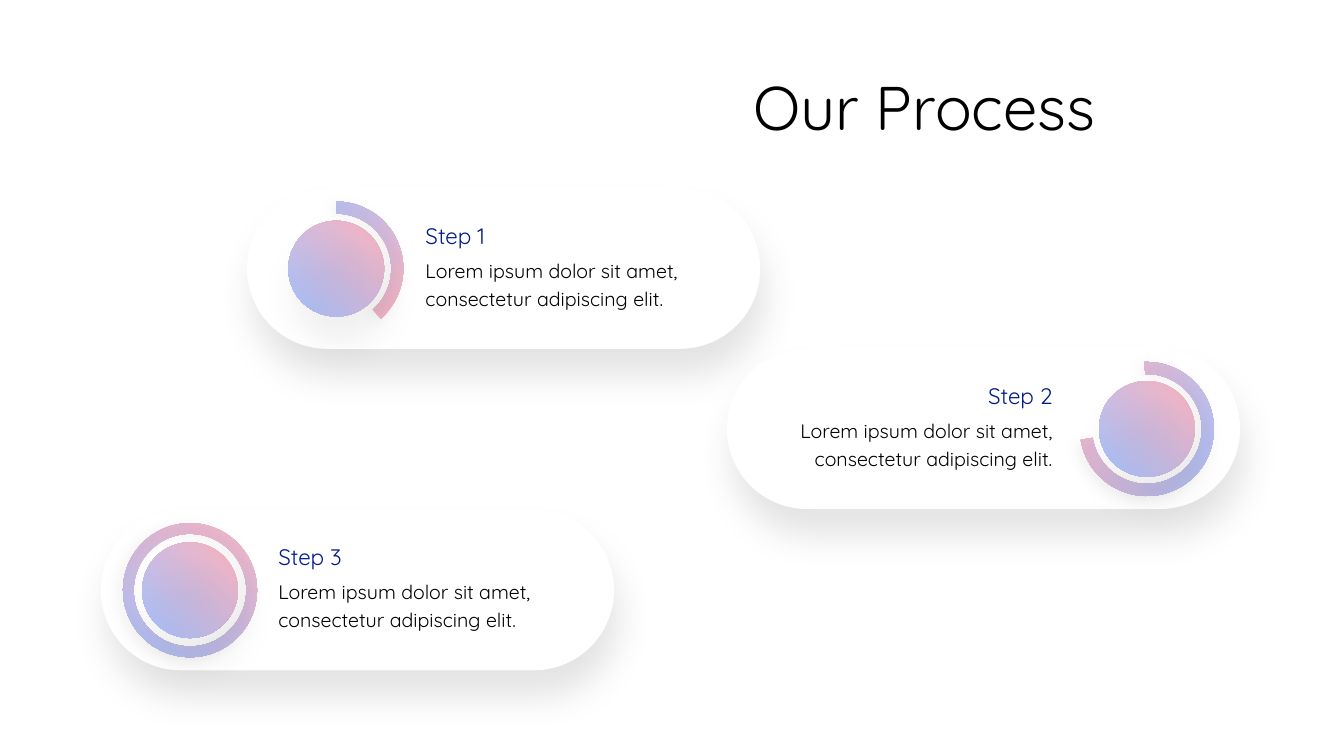
from pptx import Presentation
from pptx.dml.color import RGBColor
from pptx.enum.shapes import MSO_SHAPE
from pptx.enum.text import MSO_ANCHOR, PP_ALIGN
from pptx.oxml import parse_xml
from pptx.oxml.ns import nsdecls, qn
from pptx.util import Inches, Pt

WHITE = RGBColor(0xFF, 0xFF, 0xFF)
BLACK = RGBColor(0x00, 0x00, 0x00)
NAVY = RGBColor(0x03, 0x1B, 0x89)
PINK = RGBColor(0xFB, 0x7A, 0x8E)
BLUE = RGBColor(0x61, 0x96, 0xFE)
FONT = "Quicksand"

# Opacity in percent, blur and distance in points, direction in degrees
DEEP_SHADOW = (11, 26, 19, 80)
RING_SHADOW = (9, 10, 4, 157)

BODY = "Lorem ipsum dolor sit amet, consectetur adipiscing elit."
RING_SIZE = 1.33
DISC_INSET = 0.19

# Heading, card left and top, ring offset, text offset, alignment,
# ring rotation, ring adjustments
STEPS = [
    ("Step 1", 2.45, 1.87, 0.22, 1.77, PP_ALIGN.LEFT, 90, (108, 190.97, 0.09)),
    ("Step 2", 7.21, 3.46, 3.5, 0.54, PP_ALIGN.RIGHT, 252.7, (9.29, 166.8, 0.09)),
    ("Step 3", 1, 5.06, 0.22, 1.76, PP_ALIGN.LEFT, 345.6, (168.74, 168.4, 0.08)),
]


def add_shadow(shape, opacity, blur, distance, direction):
    shape.shadow.inherit = False
    effects = shape._element.spPr.find(qn("a:effectLst"))
    effects.append(parse_xml(
        f'<a:outerShdw {nsdecls("a")} blurRad="{Pt(blur)}" dist="{Pt(distance)}" '
        f'dir="{direction * 60000}" algn="t" rotWithShape="0">'
        f'<a:srgbClr val="{BLACK}"><a:alpha val="{opacity * 1000}"/></a:srgbClr>'
        f'</a:outerShdw>'))


def add_shape(slide, kind, left, top, width, height, shadow):
    shape = slide.shapes.add_shape(
        kind, Inches(left), Inches(top), Inches(width), Inches(height))
    shape.line.fill.background()
    add_shadow(shape, *shadow)
    return shape


def fill_gradient(shape):
    """Fill from translucent pink at top right to blue at bottom left."""
    shape.fill.gradient()
    shape.fill.gradient_angle = 225
    for stop, color in zip(shape.fill.gradient_stops, (PINK, BLUE)):
        stop.color.rgb = color
    for color in shape._element.spPr.find(qn("a:gradFill")).iter(qn("a:srgbClr")):
        color.append(parse_xml(f'<a:alpha {nsdecls("a")} val="56000"/>'))


def format_text(shape, text, size, color, spacing, alignment, anchor):
    frame = shape.text_frame
    frame.word_wrap = True
    frame.margin_left = frame.margin_right = 0
    frame.margin_top = frame.margin_bottom = Inches(0.05)
    frame.vertical_anchor = anchor
    paragraph = frame.paragraphs[0]
    paragraph.text = text
    paragraph.alignment = alignment
    paragraph.line_spacing = spacing
    paragraph.space_before = Pt(0)
    paragraph.font.name = FONT
    paragraph.font.size = Pt(size)
    paragraph.font.color.rgb = color


def add_text(slide, text, left, top, height, size, color, alignment):
    box = slide.shapes.add_textbox(
        Inches(left), Inches(top), Inches(2.69), Inches(height))
    format_text(box, text, size, color, 1.2, alignment, MSO_ANCHOR.TOP)


def add_title(slide, text):
    title = slide.shapes.title
    title.left, title.top = Inches(7.47), Inches(0.77)
    title.width, title.height = Inches(5.19), Inches(0.69)
    format_text(title, text, 44, BLACK, 0.8, PP_ALIGN.LEFT, MSO_ANCHOR.MIDDLE)


def add_step(slide, heading, left, top, ring_offset, text_offset, alignment,
             rotation, adjustments):
    card = add_shape(slide, MSO_SHAPE.ROUNDED_RECTANGLE, left, top, 5.09, 1.59,
                     DEEP_SHADOW)
    card.adjustments[0] = 0.5
    card.fill.solid()
    card.fill.fore_color.rgb = WHITE

    ring_left, ring_top = left + ring_offset, top + 0.13
    ring = add_shape(slide, MSO_SHAPE.BLOCK_ARC, ring_left, ring_top,
                     RING_SIZE, RING_SIZE, RING_SHADOW)
    ring.rotation = rotation
    for index, value in enumerate(adjustments):
        ring.adjustments[index] = value
    fill_gradient(ring)

    disc = add_shape(slide, MSO_SHAPE.OVAL, ring_left + DISC_INSET,
                     ring_top + DISC_INSET, 0.95, 0.95, DEEP_SHADOW)
    fill_gradient(disc)

    text_left = left + text_offset
    add_text(slide, BODY, text_left, top + 0.6, 0.76, 14, BLACK, alignment)
    add_text(slide, heading, text_left, top + 0.23, 0.42, 16, NAVY, alignment)


def main():
    presentation = Presentation()
    presentation.slide_width = Inches(13.33)
    presentation.slide_height = Inches(7.5)
    slide = presentation.slides.add_slide(presentation.slide_layouts[5])
    add_title(slide, "Our Process")
    for step in STEPS:
        add_step(slide, *step)
    presentation.save("out.pptx")


if __name__ == "__main__":
    main()
